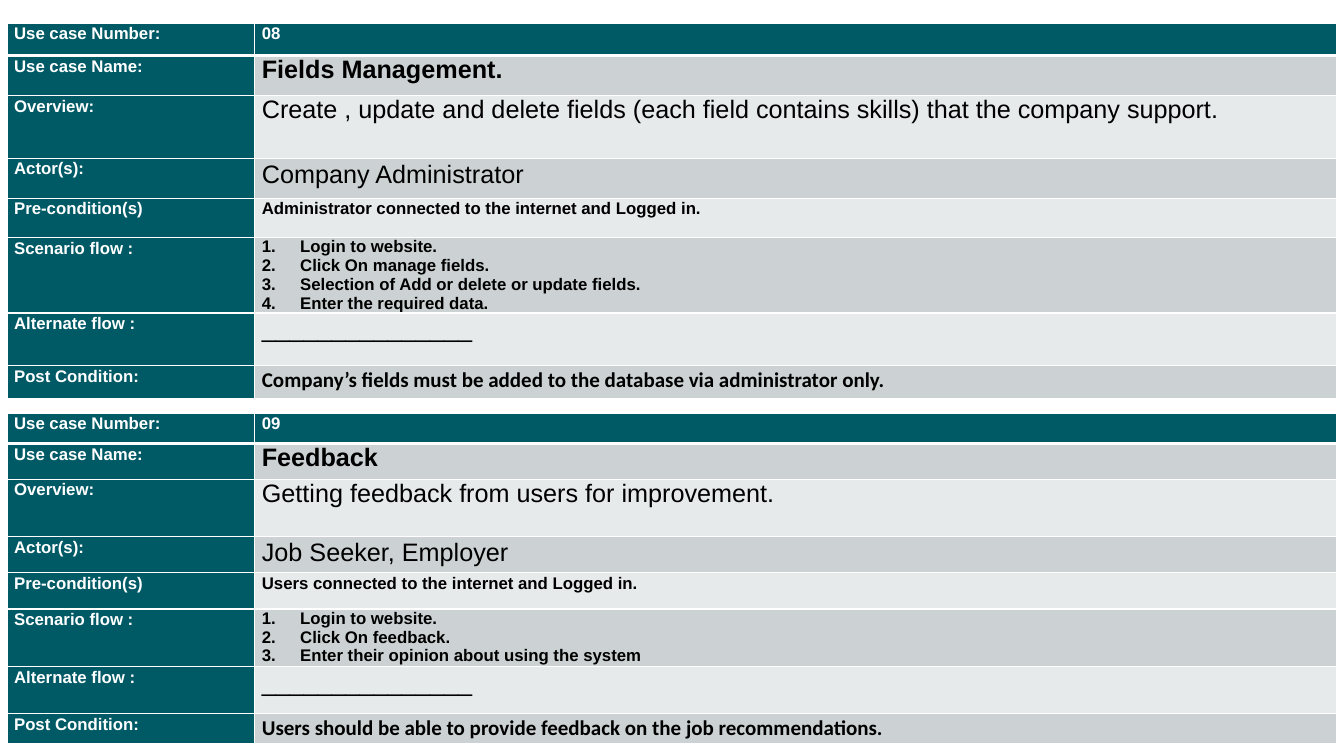
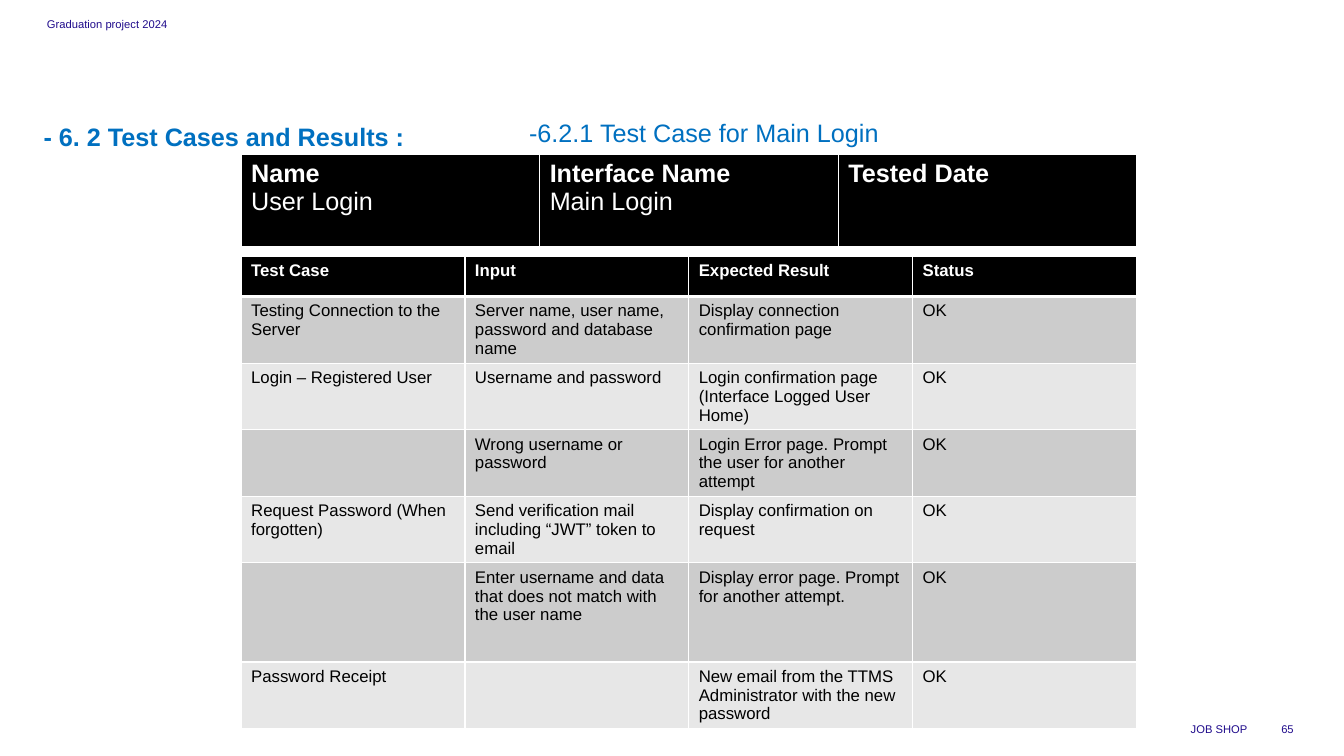
from lxml.etree import SubElement
from pptx import Presentation
from pptx.dml.color import RGBColor
from pptx.enum.text import MSO_ANCHOR, PP_ALIGN
from pptx.oxml.ns import qn
from pptx.util import Inches, Pt

UNIT = Inches(1) // 12
TEAL, BLACK, WHITE = "005A66", "000000", "FFFFFF"
NAVY, BLUE = "200C8C", "0070C0"


def hue(code):
    return RGBColor.from_string(code)


def write(frame, text, size=12, color=BLACK, bold=False, face="Arial",
          align=PP_ALIGN.LEFT, space=None, number=False):
    para = frame.add_paragraph() if frame.text else frame.paragraphs[0]
    if number:
        props = para._p.get_or_add_pPr()
        props.set("marL", str(Inches(0.38)))
        props.set("indent", str(-Inches(0.38)))
        SubElement(props, qn("a:buFont"), typeface="+mj-lt")
        SubElement(props, qn("a:buAutoNum"), type="arabicPeriod")
    para.alignment = align
    if space:
        para.line_spacing = space
    run = para.add_run()
    run.text = text
    run.font.size = Pt(size)
    run.font.name = face
    run.font.bold = bold
    run.font.color.rgb = hue(color)


deck = Presentation()
deck.slide_width, deck.slide_height = 160 * UNIT, 90 * UNIT
cases, tests = [deck.slides.add_slide(deck.slide_layouts[6]) for _ in range(2)]

labels = ["Use case Number:", "Use case Name:", "Overview:", "Actor(s):",
          "Pre-condition(s)", "Scenario flow :", "Alternate flow :", "Post Condition:"]
looks = [
    dict(bold=True, color=WHITE, space=1.07),
    dict(size=18, bold=True),
    dict(size=18),
    dict(size=18, space=1.07),
    dict(bold=True, space=1.07),
    dict(bold=True, number=True),
    dict(size=18, space=1.07),
    dict(size=15, bold=True, face="Calibri", space=1.07),
]
fields = [
    "08",
    "Fields Management.",
    "Create , update and delete fields (each field contains skills) that the company support.",
    "Company Administrator",
    "Administrator connected to the internet and Logged in.",
    "Login to website.\nClick On manage fields.\n"
    "Selection of Add or delete or update fields.\nEnter the required data.",
    "_______________",
    "Company’s fields must be added to the database via administrator only.",
]
feedback = [
    "09",
    "Feedback",
    "Getting feedback from users for improvement.",
    "Job Seeker, Employer",
    "Users connected to the internet and Logged in.",
    "Login to website.\nClick On feedback.\nEnter their opinion about using the system",
    "_______________",
    "Users should be able to provide feedback on the job recommendations.",
]
login = [["Name\nUser Login", "Interface Name\nMain Login", "Tested Date"]]
checks = [
    ["Test Case", "Input", "Expected Result", "Status"],
    ["Testing Connection to the Server", "Server name, user name, password and database name",
     "Display connection confirmation page", "OK"],
    ["Login – Registered User", "Username and password",
     "Login confirmation page (Interface Logged User Home)", "OK"],
    ["", "Wrong username or password",
     "Login Error page. Prompt the user for another attempt", "OK"],
    ["Request Password (When forgotten)",
     "Send verification mail including “JWT” token to email",
     "Display confirmation on request", "OK"],
    ["", "Enter username and data that does not match with the user name",
     "Display error page. Prompt for another attempt.", "OK"],
    ["Password Receipt", "",
     "New email from the TTMS Administrator with the new password", "OK"],
]

teal = dict(head=TEAL, bands=["E7EAEA", "CCD2D3"], form=True)
dark = dict(head=BLACK, bands=["E7E7E7", "CCCCCC"], form=False)
grids = [
    (cases, 0.84, 2.76, [29.5, 128.8], [3.85, 4.8, 7.45, 4.75, 4.7, 8.95, 6.25, 3.95],
     list(zip(labels, fields)), 12, teal),
    (cases, 0.84, 49.2, [29.5, 128.8], [3.6, 4.25, 6.85, 4.3, 4.3, 6.85, 5.65, 3.6],
     list(zip(labels, feedback)), 12, teal),
    (tests, 28.7, 18.4, [35.55] * 3, [11.15], login, 18, dark),
    (tests, 28.7, 30.5, [26.65] * 4, [4.8] + [7.93] * 4 + [11.8, 7.93], checks, 12, dark),
]

for page, left, top, cols, rows, data, size, theme in grids:
    spot = [int(n * UNIT) for n in (left, top, sum(cols), sum(rows))]
    table = page.shapes.add_table(len(rows), len(cols), *spot).table
    for part, width in zip(table.columns, cols):
        part.width = int(width * UNIT)
    for part, height in zip(table.rows, rows):
        part.height = int(height * UNIT)
    for r, line in enumerate(data):
        for c, text in enumerate(line):
            cell = table.cell(r, c)
            props = cell._tc.get_or_add_tcPr()
            for side in "LRTB":
                thick = side == "B" and r == 0 or side == "T" and r == 1
                edge = SubElement(props, qn("a:ln" + side), w=str(Pt(3 if thick else 1)))
                fill = SubElement(edge, qn("a:solidFill"))
                SubElement(fill, qn("a:srgbClr"), val=WHITE)
            head = r == 0 or theme["form"] and c == 0
            cell.fill.solid()
            cell.fill.fore_color.rgb = hue(theme["head"] if head else theme["bands"][r % 2])
            if theme["form"]:
                cell.margin_left = cell.margin_right = Inches(0.07)
                cell.margin_top = cell.margin_bottom = 0
                look = looks[r if c else 0]
            else:
                look = dict(size=size, bold=head, color=WHITE if head else BLACK)
            for n, words in enumerate(text.split("\n") if text else []):
                if n and not theme["form"]:
                    look["bold"] = False
                write(cell.text_frame, words, **look)

small = dict(size=8, color=NAVY)
large = dict(size=18, color=BLUE)
notes = [
    ("Graduation project 2024", 4.4, 0.8, 36, 4.2, small),
    ("JOB SHOP", 96.4, 84.4, 53.3, 4.8, dict(small, align=PP_ALIGN.RIGHT)),
    ("65", 149.6, 84.4, 5.6, 4.8, dict(small, align=PP_ALIGN.RIGHT)),
    ("-6.2.1 Test Case for Main Login", 43.8, 13.4, 80, 4.8,
     dict(large, align=PP_ALIGN.CENTER)),
    ("- 6. 2 Test Cases and Results :", 4, 13.8, 46.4, 4.8, dict(large, bold=True)),
]
for text, left, top, width, height, look in notes:
    spot = [int(n * UNIT) for n in (left, top, width, height)]
    frame = tests.shapes.add_textbox(*spot).text_frame
    frame.word_wrap = True
    frame.vertical_anchor = MSO_ANCHOR.MIDDLE
    write(frame, text, **look)

deck.save("out.pptx")
